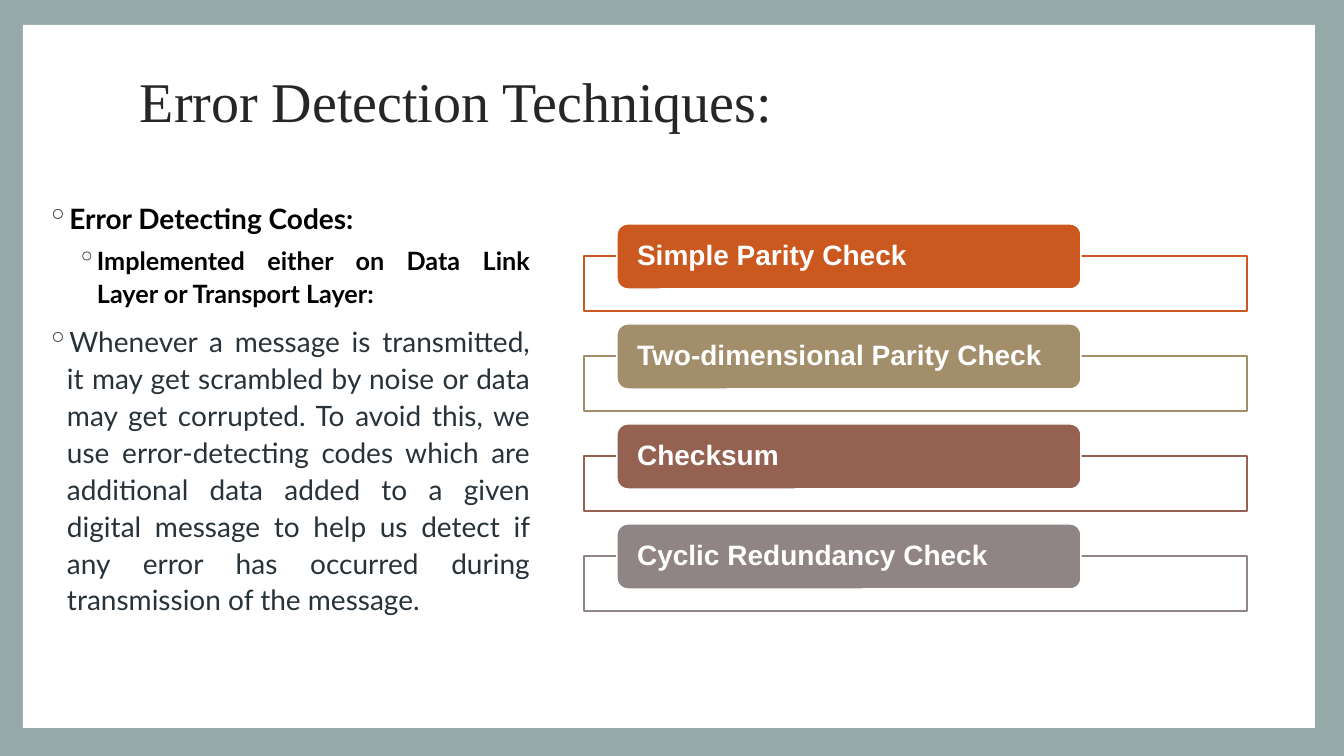
from lxml import etree
from pptx import Presentation
from pptx.dml.color import RGBColor
from pptx.enum.shapes import MSO_SHAPE
from pptx.enum.text import MSO_ANCHOR, PP_ALIGN
from pptx.oxml.ns import qn
from pptx.util import Emu, Pt

RECTANGLE, ROUNDED = MSO_SHAPE.RECTANGLE, MSO_SHAPE.ROUNDED_RECTANGLE
MIDDLE, TOP = MSO_ANCHOR.MIDDLE, MSO_ANCHOR.TOP
LEFT, JUSTIFY = PP_ALIGN.LEFT, PP_ALIGN.JUSTIFY
PX = 914400 / 100.8
WIDTH, HEIGHT = 1344, 756
COLORS = {
    "frame": "96A9A9", "white": "FFFFFF", "black": "000000",
    "title": "262626", "body": "273239",
    "orange": "CB581F", "sand": "A28E6A", "brown": "956251", "mauve": "918485",
}
TITLE = "Error Detection Techniques:"
# text, level, size, bold, color, space before
POINTS = [
    ("Error Detecting Codes:", 0, 20, True, "black", 0),
    ("Implemented either on Data Link Layer or Transport Layer:", 1, 18, True, "black", 5),
    ("Whenever a message is transmitted, it may get scrambled by noise or data "
     "may get corrupted. To avoid this, we use error-detecting codes which are "
     "additional data added to a given digital message to help us detect if any "
     "error has occurred during transmission of the message.", 0, 20, False, "body", 9),
]
TECHNIQUES = [
    ("Simple Parity Check", "orange"),
    ("Two-dimensional Parity Check", "sand"),
    ("Checksum", "brown"),
    ("Cyclic Redundancy Check", "mauve"),
]


def px(length):
    return Emu(round(length * PX))


def rgb(name):
    return RGBColor.from_string(COLORS[name])


def add_panel(page, kind, box, fill, line=None):
    panel = page.shapes.add_shape(kind, *map(px, box))
    panel.shadow.inherit = False
    panel.fill.solid()
    panel.fill.fore_color.rgb = rgb(fill)
    if line:
        panel.line.color.rgb = rgb(line)
        panel.line.width = Pt(1)
    else:
        panel.line.fill.background()
    return panel


def set_frame(frame, anchor, side, edge):
    frame.word_wrap = True
    frame.vertical_anchor = anchor
    frame.margin_left = frame.margin_right = px(side)
    frame.margin_top = frame.margin_bottom = px(edge)


def add_run(para, text, font, size, color, bold=False):
    span = para.add_run()
    span.text = text
    span.font.name = font
    span.font.size = Pt(size)
    span.font.bold = bold
    span.font.color.rgb = rgb(color)


def add_bullet(para, left, hang):
    props = para._p.get_or_add_pPr()
    props.set("marL", str(px(left)))
    props.set("indent", str(-px(hang)))
    color = etree.SubElement(props, qn("a:buClr"))
    etree.SubElement(color, qn("a:srgbClr"), val=COLORS["title"])
    etree.SubElement(props, qn("a:buChar"), char="◦")


def draw_frame(page):
    add_panel(page, RECTANGLE, (0, 0, WIDTH, HEIGHT), "frame")
    add_panel(page, RECTANGLE, (23, 25, 1292, 703), "white")


def draw_title(page, box):
    frame = page.shapes.add_textbox(*map(px, box)).text_frame
    set_frame(frame, MIDDLE, 10, 5)
    para = frame.paragraphs[0]
    para.line_spacing = 0.9
    add_run(para, TITLE, "Times New Roman", 40, "title")


def draw_points(page, box):
    frame = page.shapes.add_textbox(*map(px, box)).text_frame
    set_frame(frame, TOP, 10, 5)
    for index, (text, level, size, bold, color, before) in enumerate(POINTS):
        para = frame.add_paragraph() if index else frame.paragraphs[0]
        add_bullet(para, 20 + 30 * level, 20)
        para.level = level
        para.alignment = JUSTIFY
        para.line_spacing = 1.1
        para.space_before = Pt(before)
        add_run(para, text, "Lato", size, color, bold)


def draw_techniques(page, box):
    """Stack one outlined bar with an overlapping label per technique."""
    left, top, width, pitch = box
    for index, (name, color) in enumerate(TECHNIQUES):
        row = top + index * pitch
        add_panel(page, RECTANGLE, (left, row + 32, width, 55), "white", color)
        label = add_panel(page, ROUNDED, (left + 33, row, 464, 65), color, "white")
        set_frame(label.text_frame, MIDDLE, 17, 0)
        para = label.text_frame.paragraphs[0]
        para.alignment = LEFT
        para.line_spacing = 0.9
        add_run(para, name, "Arial", 20, "white", True)


def main():
    deck = Presentation()
    deck.slide_width, deck.slide_height = px(WIDTH), px(HEIGHT)
    page = deck.slides.add_slide(deck.slide_layouts[6])
    draw_frame(page)
    draw_title(page, (130, 42, 1080, 125))
    draw_points(page, (37, 193, 503, 467))
    draw_techniques(page, (584, 224, 663, 100))
    deck.save("out.pptx")


if __name__ == "__main__":
    main()
